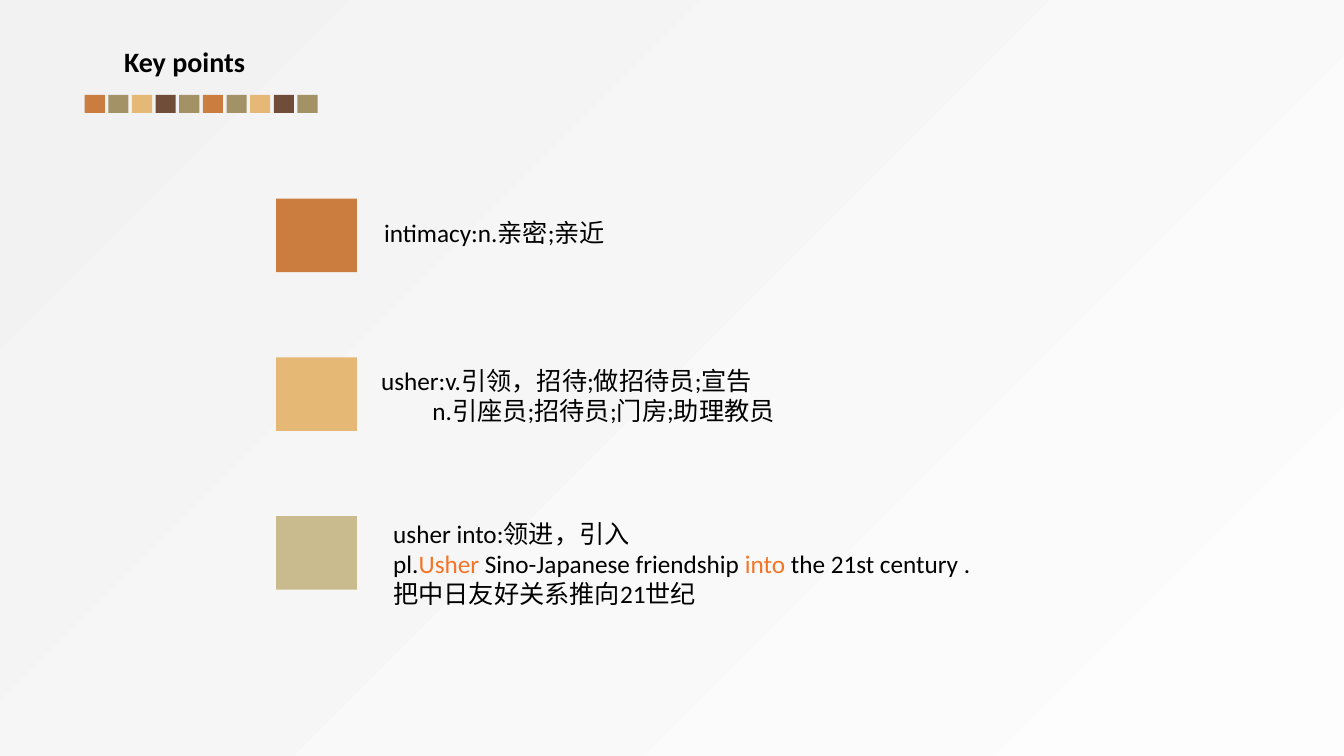
from lxml import etree
from pptx import Presentation
from pptx.dml.color import RGBColor
from pptx.enum.shapes import MSO_SHAPE
from pptx.enum.text import MSO_ANCHOR, MSO_AUTO_SIZE, PP_ALIGN
from pptx.oxml.ns import qn
from pptx.util import Inches, Pt

RECTANGLE = MSO_SHAPE.RECTANGLE
TOP, LEFT, NO_FIT = MSO_ANCHOR.TOP, PP_ALIGN.LEFT, MSO_AUTO_SIZE.NONE

ORANGE = RGBColor(0xCB, 0x7D, 0x40)
SAND = RGBColor(0xE6, 0xB8, 0x75)
KHAKI = RGBColor(0xCA, 0xBB, 0x8F)
OLIVE = RGBColor(0xA2, 0x92, 0x66)
BROWN = RGBColor(0x6F, 0x4D, 0x39)
HIGHLIGHT = RGBColor(0xF5, 0x75, 0x27)
BLACK = RGBColor(0, 0, 0)
PALE = RGBColor(0xFD, 0xFD, 0xFD)
GREY = RGBColor(0xF2, 0xF2, 0xF2)

FONT = "Calibri"
INSET = 0.05
CHIP_COLORS = [ORANGE, OLIVE, SAND, BROWN, OLIVE] * 2
MARKER_WIDTH, MARKER_HEIGHT = 0.8, 0.73

# Marker colour, text offset (x, y) and size from the marker's corner, paragraphs.
# A paragraph is a list of (text, colour) spans.
ENTRIES = [
    (ORANGE, (1.02, 0.14, 2.49, 0.45), [[("intimacy:n.亲密;亲近", BLACK)]]),
    (SAND, (0.99, 0.03, 4.3, 0.79), [
        [("usher:v.引领，招待;做招待员;宣告", BLACK)],
        [("n.引座员;招待员;门房;助理教员", BLACK)],
    ]),
    (KHAKI, (1.11, -0.03, 6.58, 1.09), [
        [("usher into:领进，引入", BLACK)],
        [("pl.", BLACK), ("Usher ", HIGHLIGHT),
         ("Sino-Japanese friendship ", BLACK), ("into ", HIGHLIGHT),
         ("the 21st century .", BLACK)],
        [("把中日友好关系推向21世纪", BLACK)],
    ]),
]
SECOND_SENSE_INDENT = 0.51


def write_text(shape, paragraphs, size=18, bold=False):
    frame = shape.text_frame
    frame.word_wrap = True
    frame.auto_size = NO_FIT
    frame.vertical_anchor = TOP
    frame.margin_left = frame.margin_right = Inches(INSET)
    frame.margin_top = frame.margin_bottom = Inches(INSET)
    for index, spans in enumerate(paragraphs):
        para = frame.add_paragraph() if index else frame.paragraphs[0]
        para.alignment = LEFT
        for text, color in spans:
            span = para.add_run()
            span.text = text
            span.font.name = FONT
            span.font.size = Pt(size)
            span.font.bold = bold
            span.font.color.rgb = color


def add_square(shapes, left, top, width, height, color):
    square = shapes.add_shape(RECTANGLE, Inches(left), Inches(top),
                              Inches(width), Inches(height))
    square.shadow.inherit = False
    square.fill.solid()
    square.fill.fore_color.rgb = color
    square.line.fill.background()


def paint_background(page):
    """Fill the page with a radial gradient centred on the lower right corner."""
    fill = page.background.fill
    fill.gradient()
    for stop, color in zip(fill.gradient_stops, (PALE, GREY)):
        stop.color.rgb = color
    gradient = next(page.element.iter(qn("a:gradFill")))
    gradient.remove(gradient.find(qn("a:lin")))
    radial = etree.SubElement(gradient, qn("a:path"), {"path": "circle"})
    etree.SubElement(radial, qn("a:fillToRect"), {"l": "100000", "t": "100000"})


def add_heading(page, left, top, width, height):
    title = page.shapes.title
    title.left, title.top = Inches(left + 0.34), Inches(top)
    title.width, title.height = Inches(1.64), Inches(0.42)
    write_text(title, [[("Key points", BLACK)]], size=20, bold=True)

    chip_width, chip_height = 0.2, 0.18
    pitch = (width - chip_width) / (len(CHIP_COLORS) - 1)
    strip = page.shapes.add_group_shape()
    for index, color in enumerate(CHIP_COLORS):
        add_square(strip.shapes, left + index * pitch, top + height - chip_height,
                   chip_width, chip_height, color)


def add_entries(page, left, top, height):
    """Spread the vocabulary entries evenly from top to bottom of the column."""
    pitch = (height - MARKER_HEIGHT) / (len(ENTRIES) - 1)
    for index, (color, (dx, dy, text_width, text_height), paragraphs) in enumerate(ENTRIES):
        row_top = top + index * pitch
        add_square(page.shapes, left, row_top, MARKER_WIDTH, MARKER_HEIGHT, color)
        box = page.shapes.add_textbox(Inches(left + dx), Inches(row_top + dy),
                                      Inches(text_width), Inches(text_height))
        write_text(box, paragraphs)
        if color == SAND:
            properties = box.text_frame.paragraphs[1]._p.get_or_add_pPr()
            properties.set("indent", str(Inches(SECOND_SENSE_INDENT)))


def main():
    deck = Presentation()
    deck.slide_width, deck.slide_height = Inches(13.33), Inches(7.5)
    page = deck.slides.add_slide(deck.slide_layouts.get_by_name("Title Only"))
    paint_background(page)
    add_heading(page, left=0.84, top=0.39, width=2.31, height=0.73)
    add_entries(page, left=2.74, top=1.97, height=3.88)
    deck.save("out.pptx")


if __name__ == "__main__":
    main()
